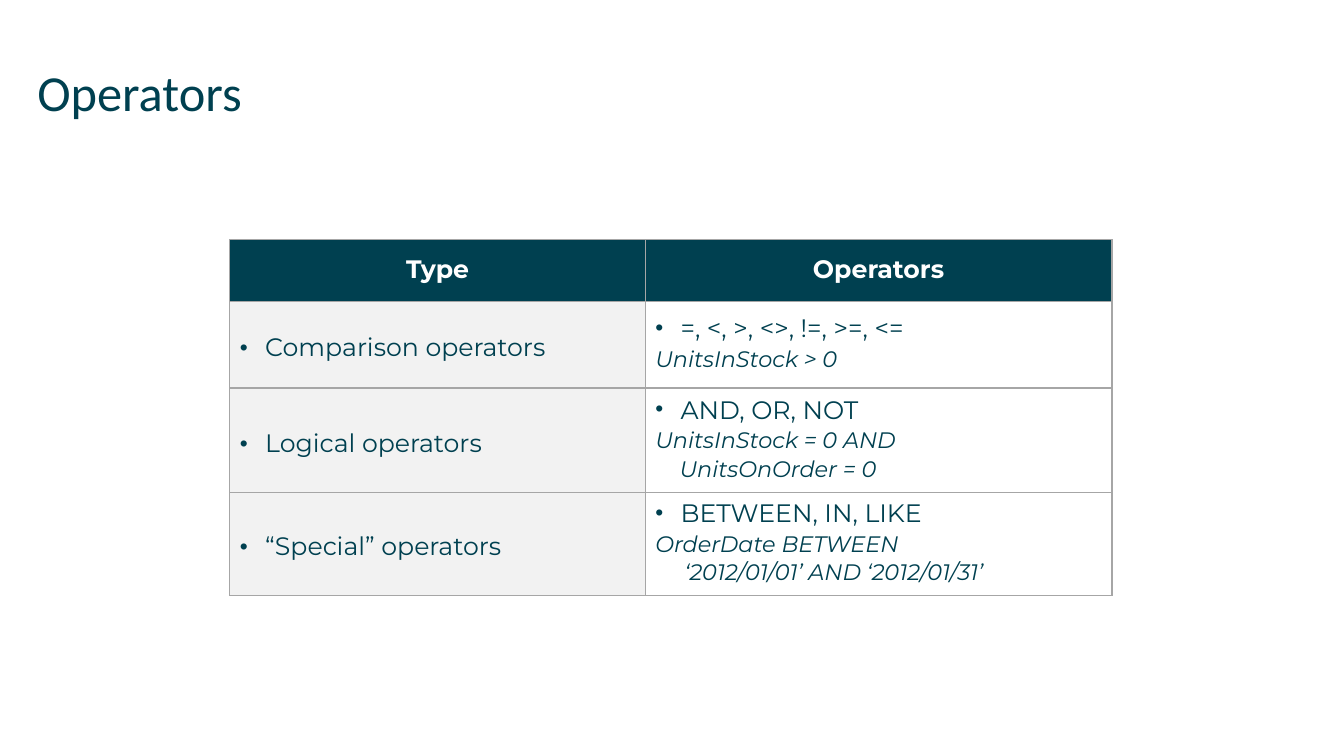
from lxml.etree import SubElement
from pptx import Presentation
from pptx.dml.color import RGBColor
from pptx.enum.text import MSO_ANCHOR, MSO_AUTO_SIZE, PP_ALIGN
from pptx.oxml.ns import qn
from pptx.util import Inches, Pt

COLORS = {"teal": "004050", "white": "FFFFFF", "pale": "F2F2F2", "rule": "A6A6A6"}
COLS = [4.12, 4.63]
ROWS = [0.61, 0.86, 1.04, 1.02]
HEADS = ["Type", "Operators"]
# Type, its operators, then example lines with their left indents
KINDS = [
    ("Comparison operators", "=, <, >, <>, !=, >=, <=", [("UnitsInStock > 0", 0)]),
    ("Logical operators", "AND, OR, NOT",
     [("UnitsInStock = 0 AND", 0), ("UnitsOnOrder = 0", 0.24)]),
    ("“Special” operators", "BETWEEN, IN, LIKE",
     [("OrderDate BETWEEN", 0), ("‘2012/01/01’ AND ‘2012/01/31’", 0.29)]),
]


def style(para, size, color="teal", face="Montserrat", bold=False, italic=False):
    font = para.font
    font.name, font.size = face, Pt(size)
    font.bold, font.italic = bold, italic
    font.color.rgb = RGBColor.from_string(COLORS[color])


def add_fill(parent, color):
    fill = SubElement(parent, qn("a:solidFill"))
    SubElement(fill, qn("a:srgbClr"), val=COLORS[color])


def set_cell(cell, color):
    """Set borders, fill and margins."""
    props = cell._tc.get_or_add_tcPr()
    for side in ("lnL", "lnR", "lnT", "lnB"):
        add_fill(SubElement(props, qn(f"a:{side}"), w=str(Pt(1))), "rule")
    cell.fill.solid()
    cell.fill.fore_color.rgb = RGBColor.from_string(COLORS[color])
    cell.margin_left = cell.margin_right = Inches(0.1)
    cell.margin_top = cell.margin_bottom = Inches(0.1)
    cell.vertical_anchor = MSO_ANCHOR.MIDDLE


def add_bullet(para):
    props = para._p.get_or_add_pPr()
    props.set("marL", str(Inches(0.25)))
    props.set("indent", str(Inches(-0.25)))
    tint = SubElement(props, qn("a:buClr"))
    SubElement(tint, qn("a:srgbClr"), val=COLORS["teal"])
    SubElement(props, qn("a:buSzPct"), val="90000")
    SubElement(props, qn("a:buFont"), typeface="Arial")
    SubElement(props, qn("a:buChar"), char="•")


def write_head(cell, text):
    set_cell(cell, "teal")
    para = cell.text_frame.paragraphs[0]
    para.text = text
    para.alignment = PP_ALIGN.CENTER
    para.line_spacing = 0.9
    style(para, 18, "white", bold=True)


def write_item(cell, text, color, spacing):
    set_cell(cell, color)
    para = cell.text_frame.paragraphs[0]
    para.text = text
    para.line_spacing = spacing
    add_bullet(para)
    style(para, 18)


def add_line(cell, text, indent):
    para = cell.text_frame.add_paragraph()
    para.text = text
    para.line_spacing = 0.8
    para.space_before = Pt(5)
    para._p.get_or_add_pPr().set("marL", str(Inches(indent)))
    style(para, 16, italic=True)


def add_title(slide, text):
    title = slide.shapes.title
    title.left, title.top = Inches(0.37), Inches(0.61)
    title.width, title.height = Inches(12.6), Inches(0.88)
    frame = title.text_frame
    frame.margin_left = frame.margin_right = 0
    frame.margin_top = frame.margin_bottom = 0
    frame.auto_size = MSO_AUTO_SIZE.NONE
    frame.vertical_anchor = MSO_ANCHOR.TOP
    para = frame.paragraphs[0]
    para.text = text
    para.alignment = PP_ALIGN.LEFT
    style(para, 36, face="Calibri")


def add_grid(slide):
    frame = slide.shapes.add_table(
        len(ROWS), len(COLS), Inches(2.28), Inches(2.38),
        Inches(sum(COLS)), Inches(sum(ROWS)))
    table = frame.table
    for col, width in zip(table.columns, COLS):
        col.width = Inches(width)
    for row, height in zip(table.rows, ROWS):
        row.height = Inches(height)
    for col, head in enumerate(HEADS):
        write_head(table.cell(0, col), head)
    for row, (kind, signs, lines) in enumerate(KINDS, 1):
        write_item(table.cell(row, 0), kind, "pale", 1.18)
        cell = table.cell(row, 1)
        write_item(cell, signs, "white", 0.8)
        for text, indent in lines:
            add_line(cell, text, indent)


def main():
    deck = Presentation()
    deck.slide_width, deck.slide_height = Inches(13.33), Inches(7.5)
    slide = deck.slides.add_slide(deck.slide_layouts[5])
    add_title(slide, "Operators")
    add_grid(slide)
    deck.save("out.pptx")


if __name__ == "__main__":
    main()
